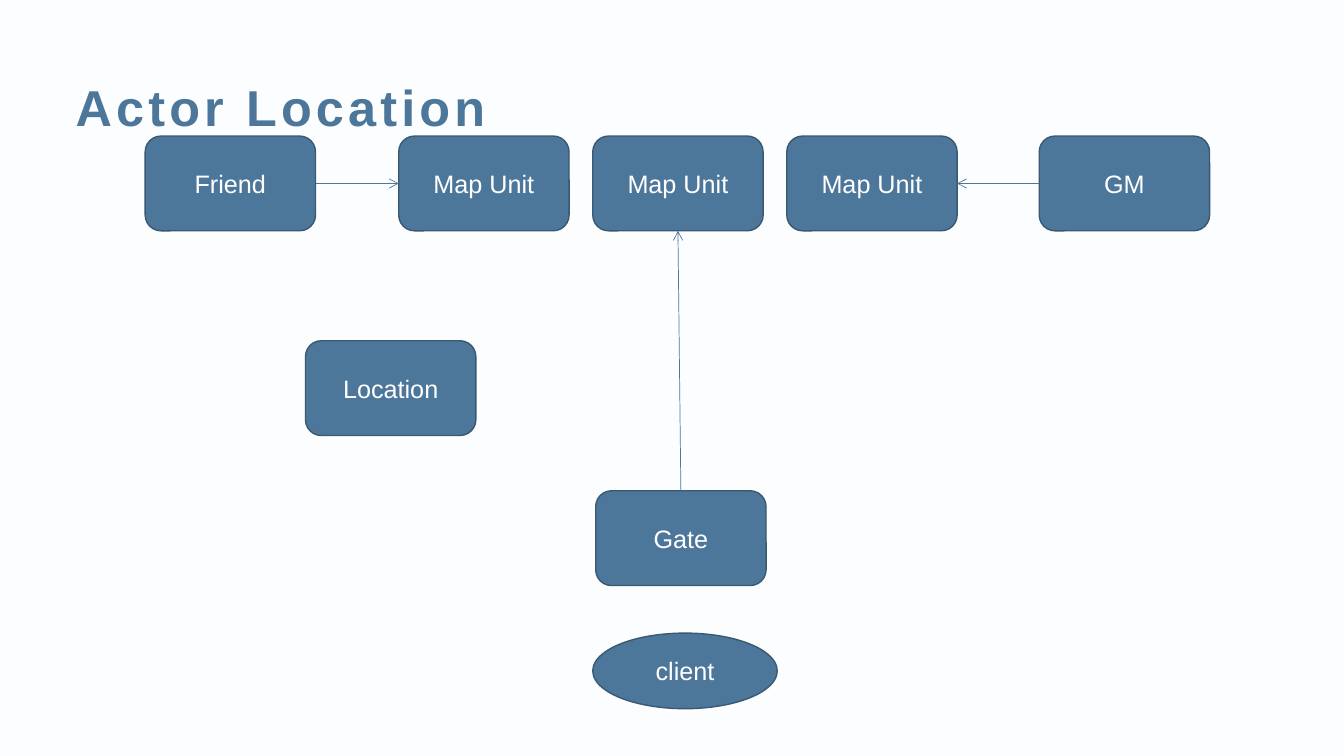
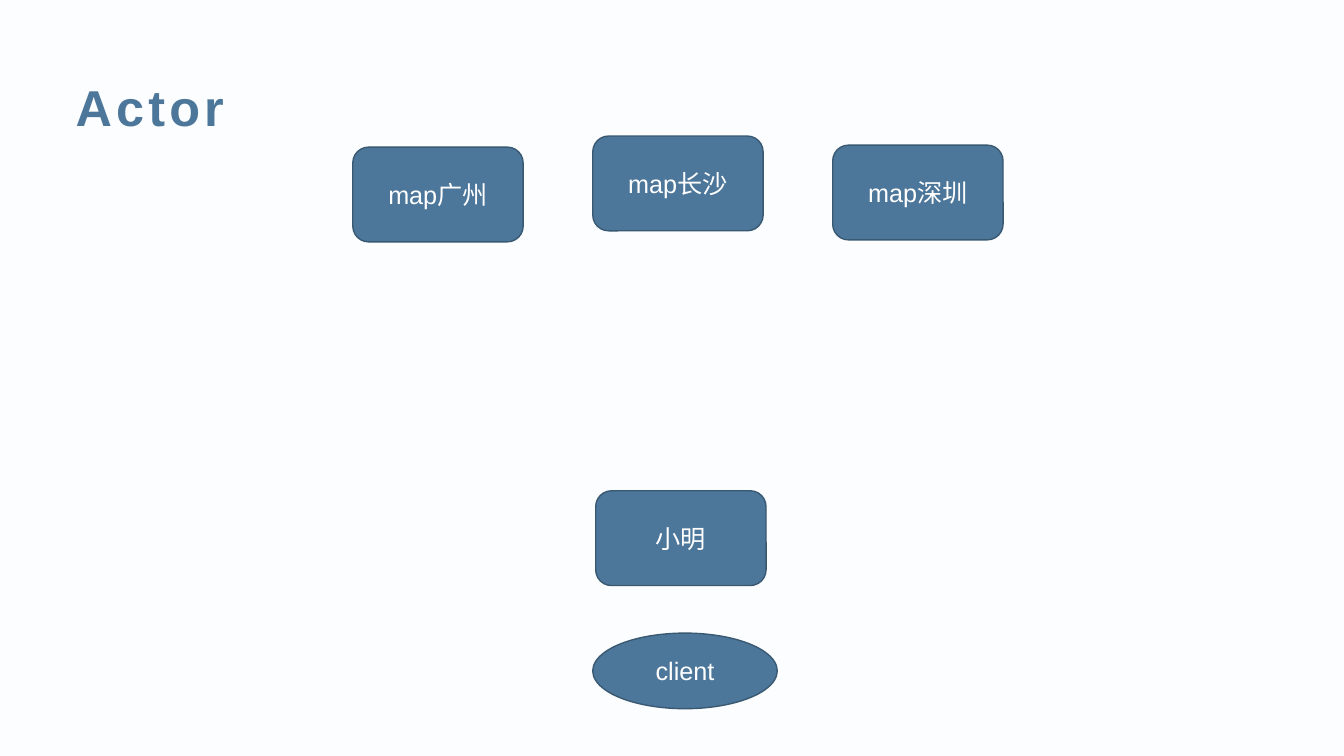
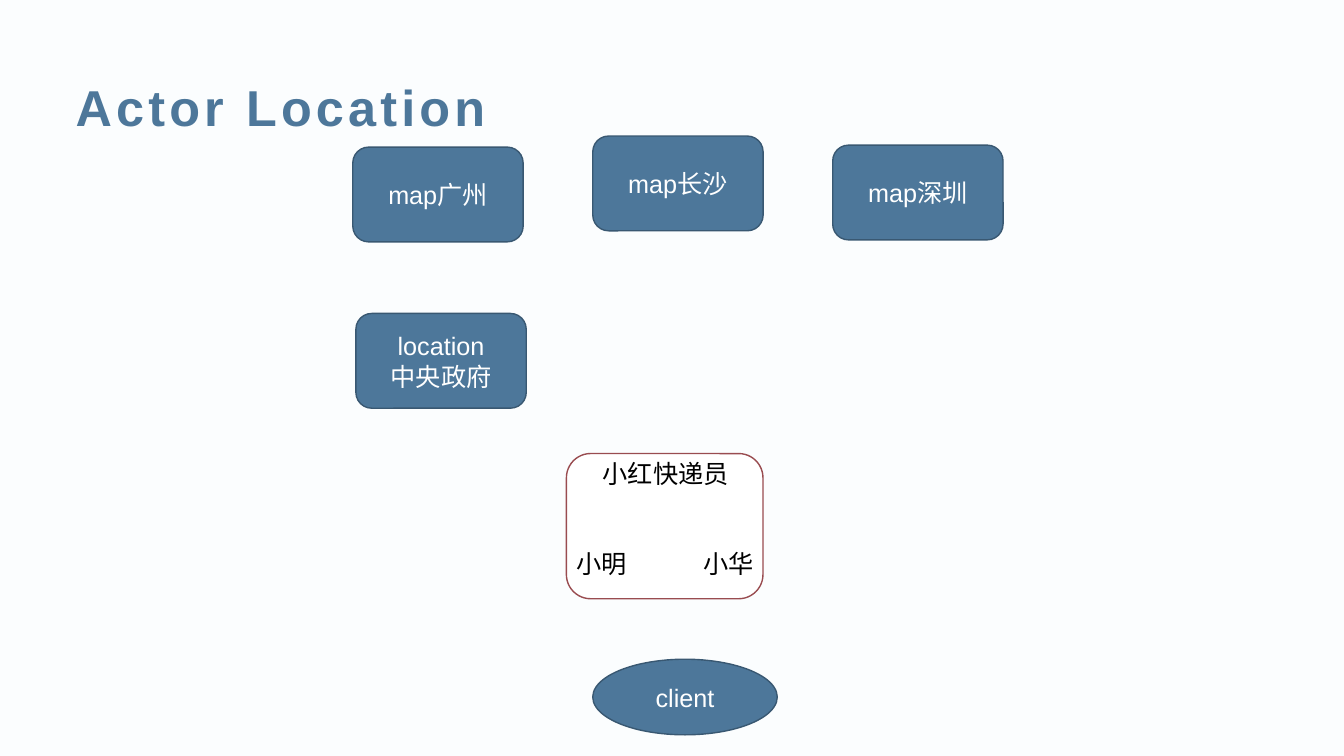
"""Build three slides on actor location: servers, map actors and the courier."""
from lxml.etree import SubElement
from pptx import Presentation
from pptx.dml.color import RGBColor
from pptx.enum.shapes import MSO_CONNECTOR as LINE, MSO_SHAPE as SHAPE
from pptx.enum.text import MSO_ANCHOR as ANCHOR, MSO_AUTO_SIZE as FIT, PP_ALIGN as ALIGN
from pptx.oxml.ns import qn
from pptx.util import Pt

BLUE = RGBColor(0x4D, 0x77, 0x9A)
DARK_BLUE = RGBColor(0x39, 0x58, 0x72)
RED = RGBColor(0x99, 0x4C, 0x50)
PAPER = RGBColor(0xFB, 0xFD, 0xFE)
WHITE = RGBColor(0xFF, 0xFF, 0xFF)
BLACK = RGBColor(0x00, 0x00, 0x00)
FONT = "Arial"
NODE_W, NODE_H = 121.7, 67.7
CLIENT_W, CLIENT_H = 131.8, 54
MIDDLE, TOP = 423.4, 97.2
UNIT_STEP, CITY_STEP = 138.6, 171.4
TOP_SITE, LEFT_SITE, BOTTOM_SITE, RIGHT_SITE = range(4)


def set_text(frame, text, color, align):
    frame.word_wrap = True
    frame.text = text
    for paragraph in frame.paragraphs:
        paragraph.alignment = align
        paragraph.font.name = FONT
        paragraph.font.size = Pt(18)
        paragraph.font.color.rgb = color


def add_node(slide, text, left, top, width=NODE_W, height=NODE_H,
             kind=SHAPE.ROUNDED_RECTANGLE, fill=BLUE, outline=DARK_BLUE):
    node = slide.shapes.add_shape(kind, Pt(left), Pt(top), Pt(width), Pt(height))
    node.shadow.inherit = False
    node.fill.solid()
    node.fill.fore_color.rgb = fill
    node.line.color.rgb = outline
    node.line.width = Pt(1)
    if text:
        set_text(node.text_frame, text, WHITE, ALIGN.CENTER)
    return node


deck = Presentation()
deck.slide_width, deck.slide_height = Pt(960), Pt(540)
background = deck.slide_master.background.fill
background.solid()
background.fore_color.rgb = PAPER
layout = deck.slide_layouts[5]
heading = layout.placeholders[0]
heading.left, heading.top = Pt(46.8), Pt(48.2)
heading.width, heading.height = Pt(884.2), Pt(55.4)

slides = []
for topic, client_top in [("Actor Location", 452.2), ("Actor", 452.2), ("Actor Location", 470.9)]:
    slide = deck.slides.add_slide(layout)
    title = slide.shapes.title.text_frame
    title.text = topic
    title.vertical_anchor = ANCHOR.MIDDLE
    headline = title.paragraphs[0]
    headline.alignment = ALIGN.LEFT
    headline.font.name = FONT
    headline.font.size = Pt(36)
    headline.font.bold = True
    headline.font.color.rgb = BLUE
    headline.runs[0].font._element.set("spc", "300")
    add_node(slide, "client", MIDDLE, client_top, CLIENT_W, CLIENT_H, SHAPE.OVAL)
    slides.append(slide)
servers, actors, courier = slides

units = [add_node(servers, "Map Unit", MIDDLE + step * UNIT_STEP, TOP) for step in (-1, 0, 1)]
friend = add_node(servers, "Friend", 103.7, TOP)
gm = add_node(servers, "GM", 742.3, TOP)
gate = add_node(servers, "Gate", 425.5, 350.6)
add_node(servers, "Location", 218.2, 243.4)

for sender, exit_site, unit, entry_site in [
    (friend, RIGHT_SITE, units[0], LEFT_SITE),
    (gate, TOP_SITE, units[1], BOTTOM_SITE),
    (gm, LEFT_SITE, units[2], RIGHT_SITE),
]:
    message = servers.shapes.add_connector(LINE.STRAIGHT, 0, 0, 0, 0)
    message.begin_connect(sender, exit_site)
    message.end_connect(unit, entry_site)
    message.line.color.rgb = BLUE
    message.line.width = Pt(0.5)
    SubElement(message.line._get_or_add_ln(), qn("a:tailEnd"), type="arrow")
    SubElement(message._element.spPr, qn("a:effectLst"))

for slide in (actors, courier):
    for step, city, top in [(-1, "广州", 105.1), (0, "长沙", TOP), (1, "深圳", 103.7)]:
        add_node(slide, f"map{city}", MIDDLE + step * CITY_STEP, top)

add_node(actors, "小明", 425.5, 350.6)

add_node(courier, "location\n中央政府", 254.2, 223.9)
add_node(courier, "", 404.6, 324, 140.4, 103.7, fill=WHITE, outline=RED)
for person, left, top, width in [
    ("小红快递员", 423.4, 324, 106.6),
    ("小明", 404.6, 388.1, 67.7),
    ("小华", 495.4, 388.1, 67.7),
]:
    label = courier.shapes.add_textbox(Pt(left), Pt(top), Pt(width), Pt(28.8))
    set_text(label.text_frame, person, BLACK, ALIGN.LEFT)
    label.text_frame.auto_size = FIT.SHAPE_TO_FIT_TEXT

deck.save("out.pptx")
